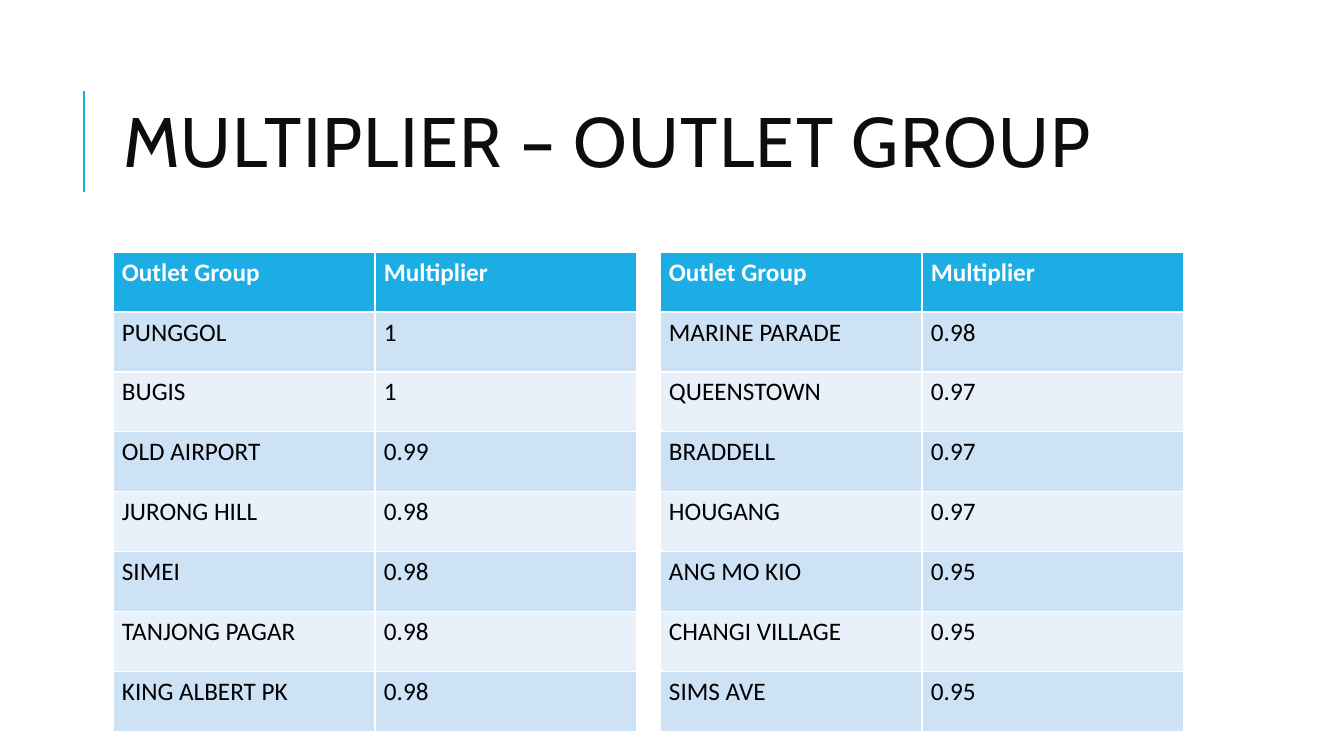
"""Build the outlet group multiplier slide with two side-by-side tables."""
from lxml import etree
from pptx import Presentation
from pptx import util as u
from pptx.dml.color import RGBColor
from pptx.enum import shapes, text
from pptx.oxml.ns import qn

ACCENT = RGBColor(0x1C, 0xAD, 0xE4)
BAND_DARK = RGBColor(0xCD, 0xE3, 0xF5)
BAND_LIGHT = RGBColor(0xE8, 0xF1, 0xFA)
TITLE_COLOR = RGBColor(0x0D, 0x0D, 0x0D)
WHITE = RGBColor(0xFF, 0xFF, 0xFF)
BLACK = RGBColor(0x00, 0x00, 0x00)

HEADER = ("Outlet Group", "Multiplier")
OUTLETS = [
    ("PUNGGOL", "1"),
    ("BUGIS", "1"),
    ("OLD AIRPORT", "0.99"),
    ("JURONG HILL", "0.98"),
    ("SIMEI", "0.98"),
    ("TANJONG PAGAR", "0.98"),
    ("KING ALBERT PK", "0.98"),
    ("MARINE PARADE", "0.98"),
    ("QUEENSTOWN", "0.97"),
    ("BRADDELL", "0.97"),
    ("HOUGANG", "0.97"),
    ("ANG MO KIO", "0.95"),
    ("CHANGI VILLAGE", "0.95"),
    ("SIMS AVE", "0.95"),
]
OUTLETS_PER_TABLE = 7
TABLE_LEFT, TABLE_TOP, TABLE_STEP = 113, 252, 547
COLUMN_WIDTH, ROW_HEIGHT, CELL_MARGIN = 262, 60, 9


def px(count):
    return u.Emu(round(count * 914400 / 100.8))


presentation = Presentation()
presentation.slide_width, presentation.slide_height = px(1344), px(756)
slide = presentation.slides.add_slide(presentation.slide_layouts[5])

rule = slide.shapes.add_connector(
    shapes.MSO_CONNECTOR.STRAIGHT, px(84), px(192), px(84), px(91))
rule.line.color.rgb = ACCENT
rule.line.width = u.Pt(1.5)
etree.SubElement(rule._element.spPr, qn("a:effectLst"))

title = slide.shapes.title
title.left, title.top, title.width, title.height = px(113), px(65), px(1072), px(165)
frame = title.text_frame
frame.text = "MULTIPLIER – OUTLET GROUP"
frame.word_wrap = True
frame.auto_size = text.MSO_AUTO_SIZE.NONE
frame.vertical_anchor = text.MSO_ANCHOR.MIDDLE
paragraph = frame.paragraphs[0]
paragraph.alignment = text.PP_ALIGN.LEFT
paragraph.line_spacing = 0.8
paragraph.font.name = "Cabin"
paragraph.font.size = u.Pt(50)
paragraph.font.color.rgb = TITLE_COLOR
paragraph.runs[0]._r.get_or_add_rPr().set("spc", "100")

for table_index in range(2):
    start = table_index * OUTLETS_PER_TABLE
    rows = [HEADER] + OUTLETS[start:start + OUTLETS_PER_TABLE]
    table = slide.shapes.add_table(
        len(rows), len(HEADER),
        px(TABLE_LEFT + table_index * TABLE_STEP), px(TABLE_TOP),
        px(COLUMN_WIDTH * len(HEADER)), px(ROW_HEIGHT * len(rows))).table
    for row_index, values in enumerate(rows):
        is_header = row_index == 0
        band = BAND_DARK if row_index % 2 else BAND_LIGHT
        for column_index, value in enumerate(values):
            cell = table.cell(row_index, column_index)
            cell.text = value
            cell.margin_left = cell.margin_right = px(CELL_MARGIN)
            cell.fill.solid()
            cell.fill.fore_color.rgb = ACCENT if is_header else band
            font = cell.text_frame.paragraphs[0].font
            font.name = "Calibri"
            font.size = u.Pt(18)
            font.bold = is_header
            font.color.rgb = WHITE if is_header else BLACK

presentation.save("out.pptx")
